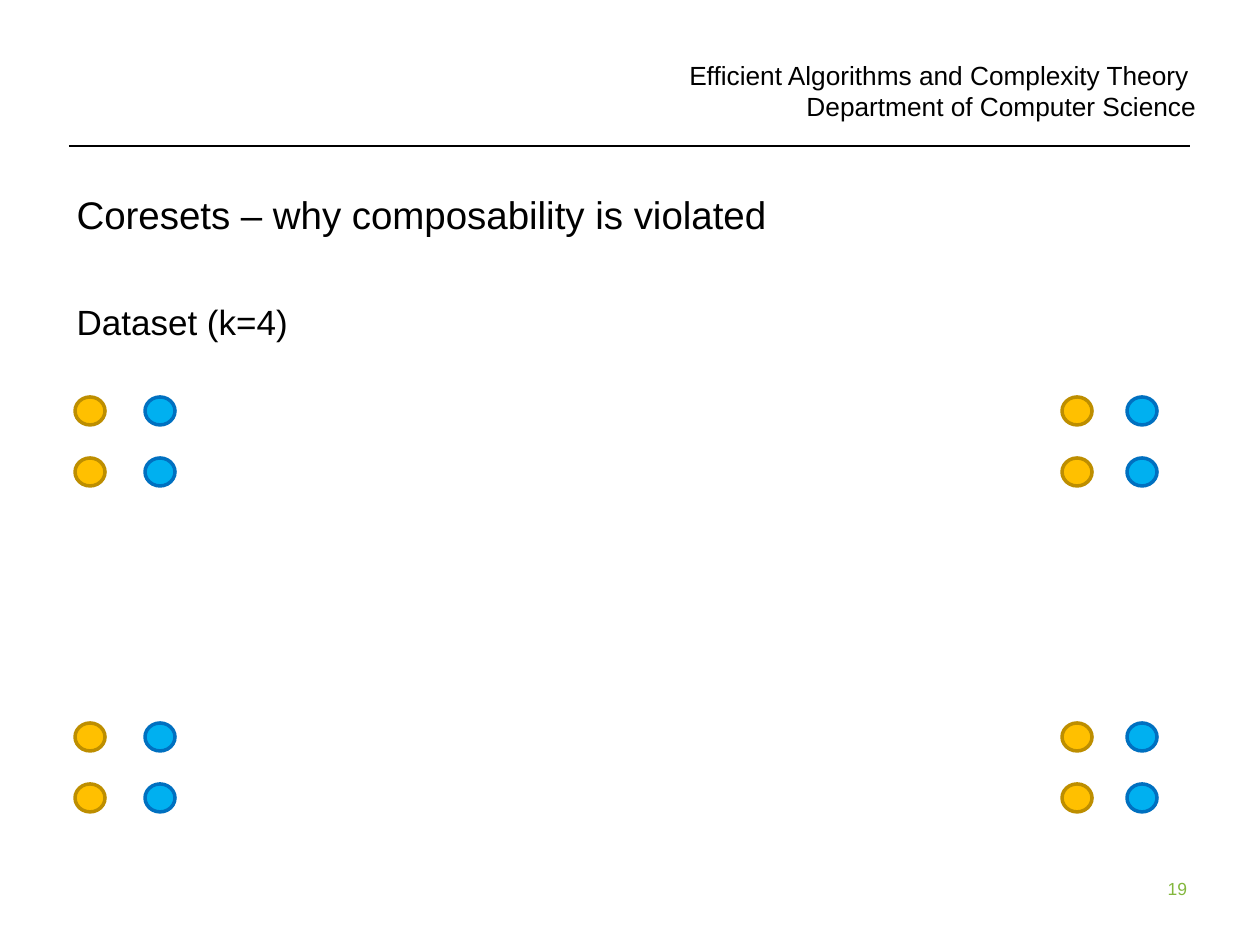
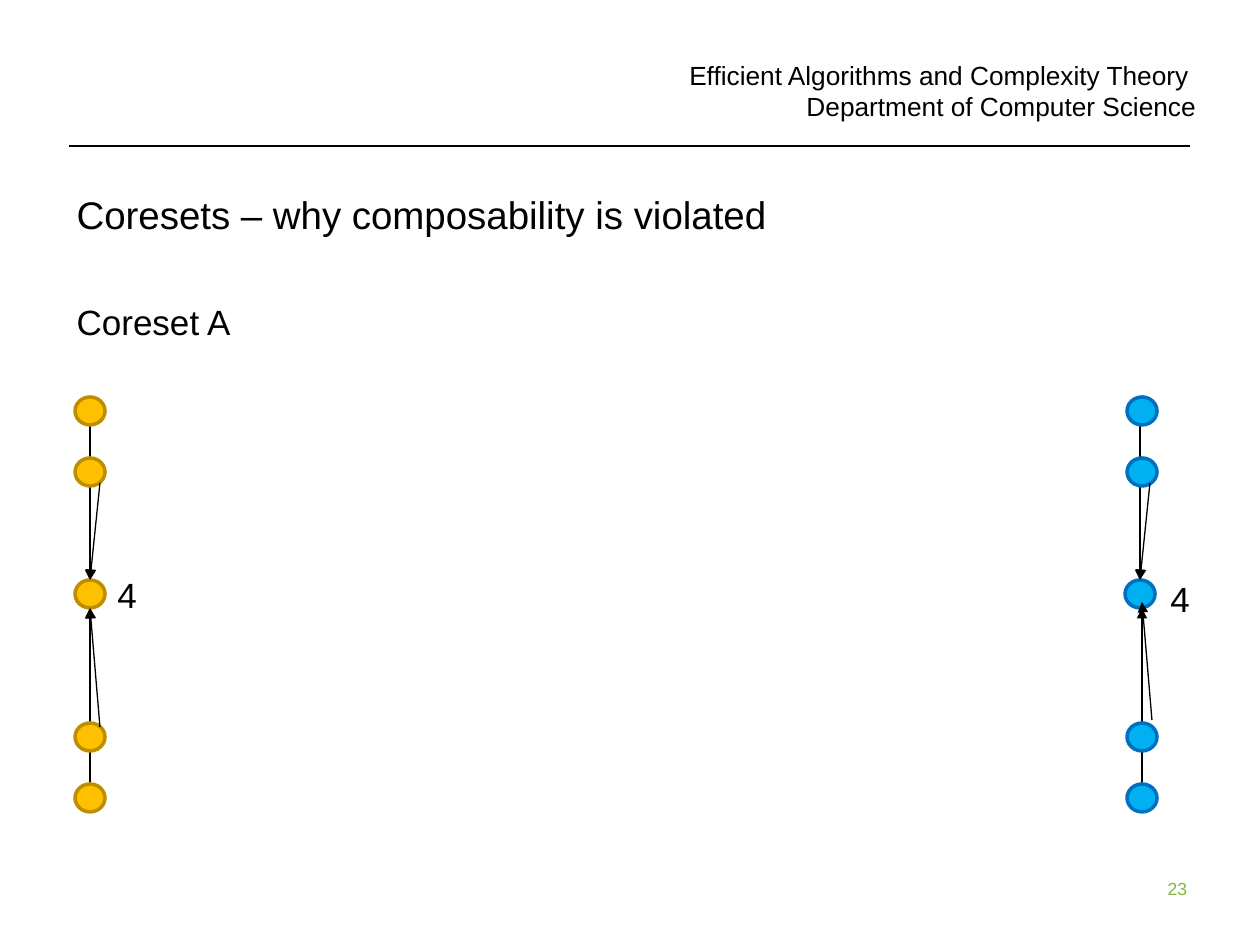
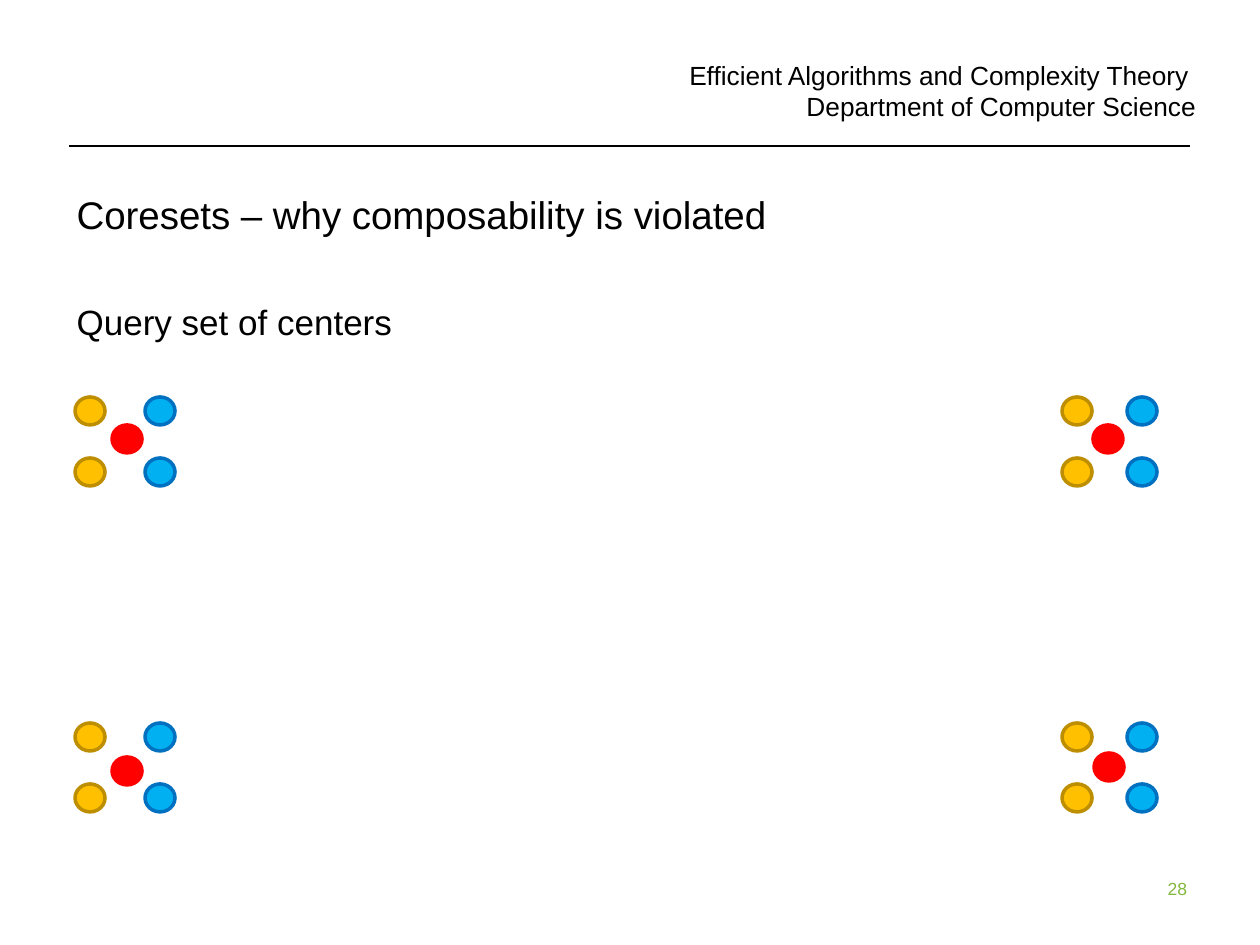
"""Build three slides that show why composability of coresets is violated."""
from lxml import etree
from pptx import Presentation
from pptx.dml.color import RGBColor
from pptx.enum.shapes import MSO_CONNECTOR, MSO_SHAPE
from pptx.enum.text import MSO_ANCHOR, PP_ALIGN
from pptx.oxml.ns import qn
from pptx.util import Emu, Pt

LINE, OVAL = MSO_CONNECTOR.STRAIGHT, MSO_SHAPE.OVAL
LEFT, RIGHT = PP_ALIGN.LEFT, PP_ALIGN.RIGHT
BOTTOM = MSO_ANCHOR.BOTTOM
PX = 914400 / 126
FONT = "Arial"
BLACK = RGBColor(0x00, 0x00, 0x00)
GREEN = RGBColor(0x83, 0xB7, 0x3D)
GOLD = RGBColor(0xFF, 0xC0, 0x00)
BROWN = RGBColor(0xBD, 0x8E, 0x00)
SKY = RGBColor(0x00, 0xB0, 0xF0)
NAVY = RGBColor(0x00, 0x70, 0xC0)
RED = RGBColor(0xFF, 0x00, 0x00)
TITLE = "Coresets – why composability is violated"
HEAD = "Efficient Algorithms and Complexity Theory \nDepartment of Computer Science"
DOT_W, DOT_H = 30, 28
ROWS = [411, 472, 737, 798]
MID = 594


def write(shape, box, words, size, ink=BLACK, side=LEFT):
    """Place a text shape and format its words."""
    shape.left, shape.top, shape.width, shape.height = [Emu(int(n * PX)) for n in box]
    frame = shape.text_frame
    frame.word_wrap = True
    frame.text = words
    for para in frame.paragraphs:
        para.alignment = side
        for run in para.runs:
            run.font.name, run.font.size = FONT, Pt(size)
            run.font.color.rgb = ink
    return frame


def draw(slide, ends, arrow=True):
    """Draw a thin black line, with an arrowhead at its end if wanted."""
    line = slide.shapes.add_connector(LINE, *[Emu(int(n * PX)) for n in ends])
    line.line.color.rgb = BLACK
    line.line.width = Pt(0.75)
    props = line._element.spPr
    if arrow:
        etree.SubElement(props.find(qn("a:ln")), qn("a:tailEnd"), type="triangle")
    etree.SubElement(props, qn("a:effectLst"))


gold = [(x, y, GOLD, BROWN) for x in (90, 1077) for y in ROWS]
blue = [(x, y, SKY, NAVY) for x in (160, 1142) for y in ROWS]
reds = [(x, y, RED, RED) for x, y in [(127, 439), (127, 771), (1109, 767), (1108, 439)]]
core = gold[:4] + blue[4:] + [(90, MID, GOLD, BROWN), (1140, MID, SKY, NAVY)]
stems = [(1142, 784, 1142, 608), (1140, 426, 1140, 580),
         (90, 784, 90, 608), (90, 426, 90, 580)]
slants = [(100, 483, 90, 580), (100, 727, 90, 608),
          (1150, 483, 1140, 580), (1152, 720, 1142, 602)]
counts = [(105, 567), (1158, 571)]

pages = [
    (19, "Dataset (k=4)", gold + blue, [], [], []),
    (23, "Coreset A", core, stems, slants, counts),
    (28, "Query set of centers", gold + blue + reds, [], [], []),
]

deck = Presentation()
deck.slide_width, deck.slide_height = Emu(int(1260 * PX)), Emu(int(945 * PX))

for page, topic, dots, under, over, marks in pages:
    slide = deck.slides.add_slide(deck.slide_layouts[1])
    shapes = slide.shapes
    write(shapes.title, (64, 146, 1120, 136), TITLE, 22)
    body = write(slide.placeholders[1], (64, 294, 1120, 546), topic, 20)
    props = body.paragraphs[0]._p.get_or_add_pPr()
    props.set("marL", "0")
    props.set("indent", "0")
    etree.SubElement(props, qn("a:buNone"))

    draw(slide, (69, 146, 1190, 146), arrow=False)
    foot = write(shapes.add_textbox(0, 0, 0, 0), (1029, 872, 158, 63),
                 str(page), 10, GREEN, RIGHT)
    foot.margin_right = 0
    head = write(shapes.add_textbox(0, 0, 0, 0), (660, 59, 536, 63), HEAD, 15, side=RIGHT)
    head.vertical_anchor = BOTTOM
    head.margin_left = head.margin_right = head.margin_top = head.margin_bottom = 0

    for ends in under:
        draw(slide, ends)
    for x, y, fill, edge in dots:
        box = (x - DOT_W / 2, y - DOT_H / 2, DOT_W, DOT_H)
        dot = shapes.add_shape(OVAL, *[Emu(int(n * PX)) for n in box])
        dot.shadow.inherit = False
        dot.fill.solid()
        dot.fill.fore_color.rgb = fill
        dot.line.color.rgb = edge
        dot.line.width = Pt(2)
    for x, y in marks:
        mark = write(shapes.add_textbox(0, 0, 0, 0), (x, y, 45, 55), "4", 20)
        mark.word_wrap = False
    for ends in over:
        draw(slide, ends)

deck.save("out.pptx")
